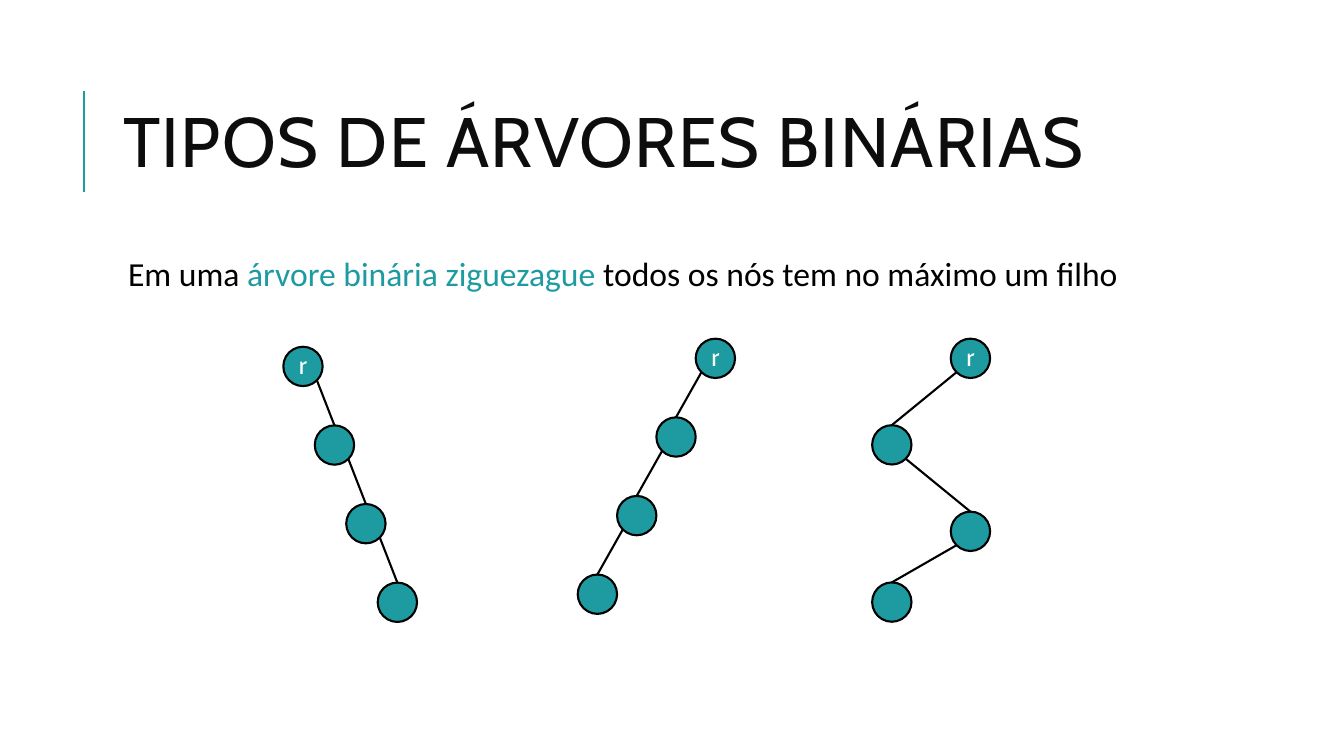
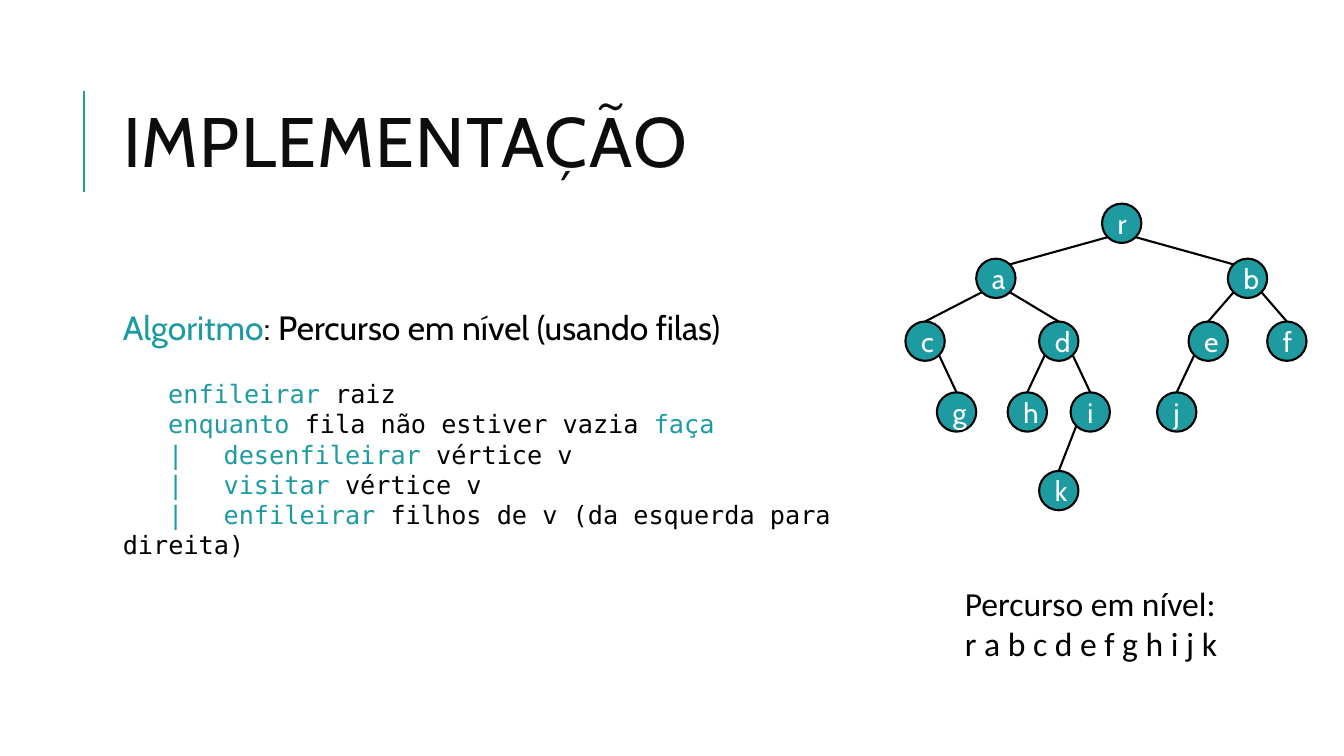
from lxml import etree
from pptx import Presentation
from pptx import util as u
from pptx.dml.color import RGBColor
from pptx.enum import shapes, text
from pptx.oxml.ns import qn

COLORS = {"accent": "1D9BA1", "ink": "000000", "title": "0D0D0D", "paper": "FFFFFF"}
FONTS = {"head": "Cabin", "body": "Calibri", "code": "DejaVu Sans Mono"}
WIDTH, HEIGHT = 13.33, 7.5
CELL = 0.078
NODE = 5
WIDE = 14
CORNER = 0.146
CHAR = 0.15
TITLE_BOX = (1.12, 0.64, 10.63, 1.64)


def rgb(name):
    """Return a palette colour."""
    return RGBColor.from_string(COLORS[name])


def style(run, size, font, color):
    """Give a run its size, font and colour."""
    run.font.size = u.Pt(size)
    run.font.name = FONTS[font]
    run.font.color.rgb = rgb(color)


def write(paragraph, parts, size, font):
    """Fill a paragraph with (words, colour) parts."""
    for words, color in parts:
        run = paragraph.add_run()
        run.text = words
        style(run, size, font, color)


def place(shape, box):
    """Move a placeholder to a box in inches."""
    shape.left, shape.top, shape.width, shape.height = map(u.Inches, box)


def indent(paragraph, margin, first):
    """Set the left margin and first-line indent in inches."""
    properties = paragraph._p.get_or_add_pPr()
    properties.set("marL", str(u.Inches(margin)))
    properties.set("indent", str(u.Inches(first)))
    return properties


def line(canvas, start, end, color):
    """Draw a straight line between two points in inches."""
    stroke = canvas.add_connector(
        shapes.MSO_CONNECTOR.STRAIGHT, *map(u.Inches, (*start, *end)))
    stroke.line.color.rgb = rgb(color)
    stroke.line.width = u.Pt(1.5)
    etree.SubElement(stroke.element.spPr, qn("a:effectLst"))
    return stroke


def titled_slide(prs, layout, words):
    """Add a slide with the shared title style."""
    slide = prs.slides.add_slide(prs.slide_layouts[layout])
    title = slide.shapes.title
    place(title, TITLE_BOX)
    frame = title.text_frame
    frame.text = words
    frame.auto_size = text.MSO_AUTO_SIZE.NONE
    frame.vertical_anchor = text.MSO_ANCHOR.MIDDLE
    heading = frame.paragraphs[0]
    heading.alignment = text.PP_ALIGN.LEFT
    heading.line_spacing = 0.8
    style(heading.runs[0], 50, "head", "title")
    heading.runs[0].font._element.set("spc", "100")
    return slide


def title_bar(prs, slide):
    """Put the accent bar beside the title on the master."""
    bar = line(slide.shapes, (0.83, 1.9), (0.83, 0.9), "accent")
    prs.slide_master.shapes.element.append(bar.element)


def edge(canvas, left, top, parent, child):
    """Join the lower corner of a parent to its child, given in cells."""
    (px, py), (cx, cy) = parent, child
    near, far = CORNER * NODE, (1 - CORNER) * NODE
    leftward = cx < px
    start = (px + (near if leftward else far), py + far)
    end = (cx + NODE / 2, cy)
    if abs(cx - px) > WIDE:
        end = (cx + (far if leftward else near), cy + near)
    points = [(left + x * CELL, top + y * CELL) for x, y in (start, end)]
    line(canvas, *points, "ink")


def tree(slide, left, top, nodes, size, tight=False):
    """Draw (label, column, row, parent index) nodes from a corner."""
    canvas = slide.shapes.add_group_shape().shapes
    for label, column, row, parent in nodes:
        if parent is not None:
            edge(canvas, left, top, nodes[parent][1:3], (column, row))
        node = canvas.add_shape(
            shapes.MSO_SHAPE.OVAL, u.Inches(left + column * CELL),
            u.Inches(top + row * CELL), u.Inches(NODE * CELL), u.Inches(NODE * CELL))
        node.shadow.inherit = False
        node.fill.solid()
        node.fill.fore_color.rgb = rgb("accent")
        node.line.color.rgb = rgb("ink")
        node.line.width = u.Pt(1.5)
        if not label:
            continue
        frame = node.text_frame
        frame.text = label
        frame.vertical_anchor = text.MSO_ANCHOR.MIDDLE
        frame.paragraphs[0].alignment = text.PP_ALIGN.CENTER
        style(frame.paragraphs[0].runs[0], size, "head", "paper")
        if tight:
            frame.margin_left = frame.margin_right = frame.margin_top = 0
            frame.margin_bottom = u.Inches(0.04)


def chain(columns, rows):
    """Return a tree in which each node has one child at most."""
    return [("" if i else "r", column, row, i - 1 if i else None)
            for i, (column, row) in enumerate(zip(columns, rows))]


def text_box(slide, box):
    """Add a wrapping text box and return its frame."""
    frame = slide.shapes.add_textbox(*map(u.Inches, box)).text_frame
    frame.word_wrap = True
    return frame


def definition(body):
    """Write the definition of a zigzag tree in the body placeholder."""
    place(body, (1.12, 2.5, 10.63, 4.4))
    frame = body.text_frame
    frame.auto_size = text.MSO_AUTO_SIZE.NONE
    frame.margin_left = frame.margin_right = u.Inches(0.05)
    frame.margin_top = frame.margin_bottom = u.Inches(0.05)
    sentence = frame.paragraphs[0]
    sentence.line_spacing = 0.9
    sentence.space_before, sentence.space_after = u.Pt(12), u.Pt(2)
    etree.SubElement(indent(sentence, 0.1, 0), qn("a:buNone"))
    write(sentence, [("Em uma ", "ink"), ("árvore binária ziguezague ", "accent"),
                     ("todos os nós tem no máximo um filho", "ink")], 24, "body")


def algorithm(slide, box):
    """Write the level-order algorithm."""
    steps = [
        [("enfileirar", "accent"), (" raiz", "ink")],
        [("enquanto", "accent"), (" fila não estiver vazia ", "ink"), ("faça", "accent")],
        [("|\tdesenfileirar", "accent"), (" vértice v", "ink")],
        [("|\tvisitar", "accent"), (" vértice v", "ink")],
        [("|\tenfileirar", "accent"), (" filhos de v (da esquerda para direita)", "ink")],
    ]
    frame = text_box(slide, box)
    write(frame.paragraphs[0], [("Algoritmo", "accent"),
                                (": Percurso em nível (usando filas)", "ink")], 24, "head")
    for number, parts in enumerate(steps):
        step = frame.add_paragraph()
        if number == 0:
            step.space_before = u.Pt(22)
        tabs = etree.SubElement(indent(step, 0, 3 * CHAR), qn("a:tabLst"))
        etree.SubElement(tabs, qn("a:tab"), pos=str(u.Inches(7 * CHAR)), algn="l")
        write(step, parts, 18, "code")


def visit_order(slide, box):
    """Write the resulting order of visits."""
    frame = text_box(slide, box)
    frame.text = "Percurso em nível:\nr a b c d e f g h i j k"
    for paragraph in frame.paragraphs:
        style(paragraph.runs[0], 24, "body", "ink")


def tree_types(prs):
    """Build the slide on zigzag trees."""
    slide = titled_slide(prs, 1, "TIPOS DE ÁRVORES BINÁRIAS")
    definition(slide.placeholders[1])
    even = (0, 10, 20, 30)
    tree(slide, 2.81, 3.44, chain((0, 4, 8, 12), even), 18, True)
    tree(slide, 5.73, 3.36, chain((15, 10, 5, 0), even), 18, True)
    tree(slide, 8.65, 3.36, chain((10, 0, 10, 0), (0, 11, 22, 31)), 18, True)
    title_bar(prs, slide)


def implementation(prs):
    """Build the slide on the level-order traversal."""
    slide = titled_slide(prs, 5, "IMPLEMENTAÇÃO")
    algorithm(slide, (1.12, 3, 7.96, 2.32))
    levels = [
        ("r", 25, 0, None), ("a", 9, 7, 0), ("b", 41, 7, 0),
        ("c", 0, 15, 1), ("d", 17, 15, 1), ("e", 36, 15, 2), ("f", 46, 15, 2),
        ("g", 4, 24, 3), ("h", 13, 24, 4), ("i", 21, 24, 4), ("j", 32, 24, 5),
        ("k", 17, 34, 9),
    ]
    tree(slide, 8.98, 2.02, levels, 20)
    visit_order(slide, (9.47, 5.73, 3.02, 0.91))


def main():
    """Build and save the presentation."""
    prs = Presentation()
    prs.slide_width, prs.slide_height = u.Inches(WIDTH), u.Inches(HEIGHT)
    tree_types(prs)
    implementation(prs)
    prs.save("out.pptx")


if __name__ == "__main__":
    main()
